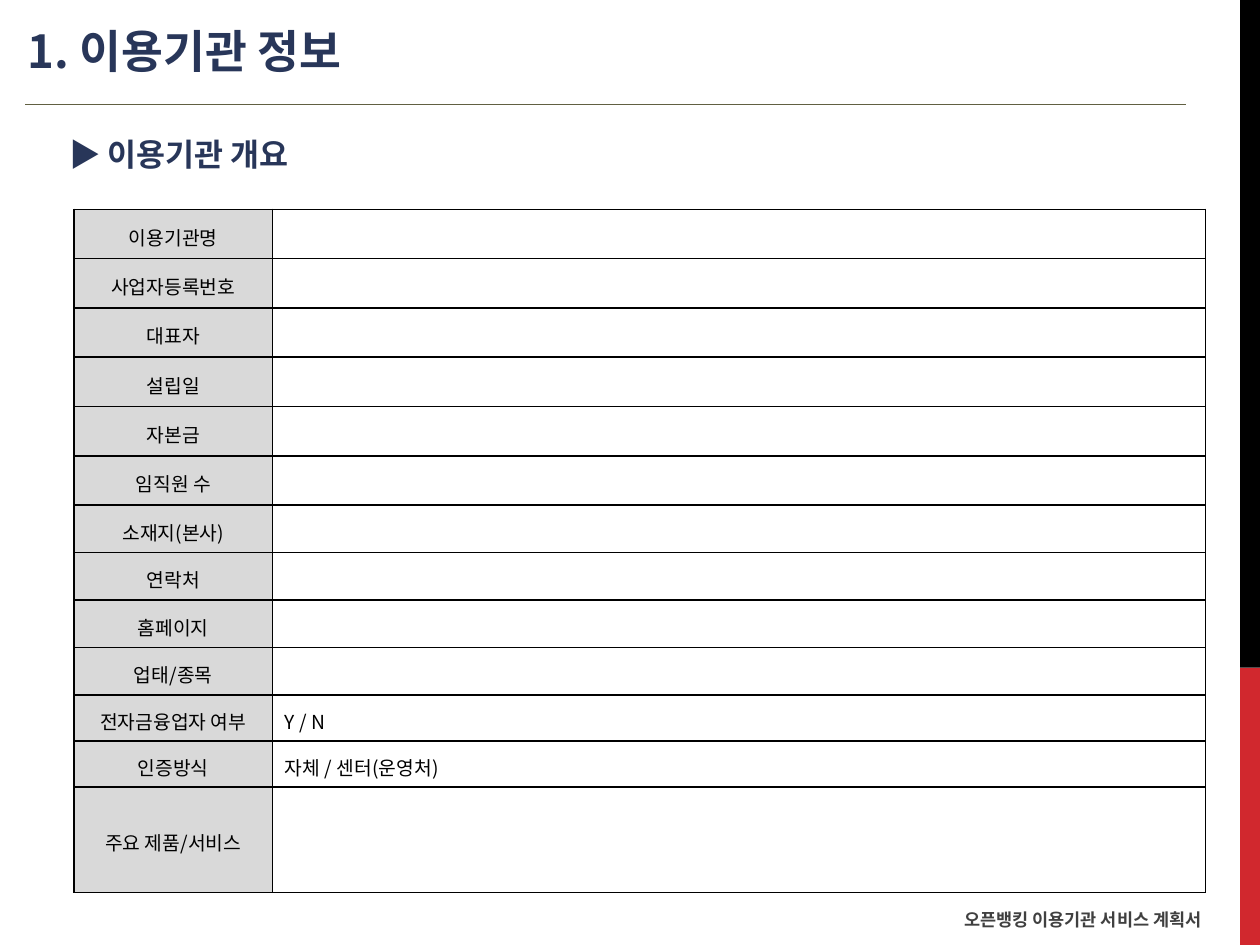
from lxml import etree
from pptx import Presentation
from pptx.dml.color import RGBColor
from pptx.enum.shapes import MSO_CONNECTOR as LINE, MSO_SHAPE as SHAPE
from pptx.enum.text import MSO_ANCHOR as ANCHOR, PP_ALIGN as ALIGN
from pptx.oxml.ns import qn
from pptx.util import Pt

NAVY, GRAY, BLACK, WHITE = "283659", "D9D9D9", "000000", "FFFFFF"


def rgb(code):
    return RGBColor.from_string(code)


class Page:
    font = "Noto Sans CJK KR"

    def __init__(self, slide):
        self.slide = slide

    def style(self, para, size, color, bold=False):
        for run in para.runs:
            run.font.size, run.font.bold = Pt(size), bold
            run.font.color.rgb = rgb(color)
            run.font.name = self.font
            east = etree.SubElement(run.font._element, qn("a:ea"))
            east.set("typeface", self.font)

    def bar(self, x, y, w, h, color):
        box = self.slide.shapes.add_shape(
            SHAPE.RECTANGLE, Pt(x), Pt(y), Pt(w), Pt(h))
        box.shadow.inherit = False
        box.fill.solid()
        box.fill.fore_color.rgb = rgb(color)
        box.line.fill.background()

    def rule(self, x, y, end, color, width):
        line = self.slide.shapes.add_connector(
            LINE.STRAIGHT, Pt(x), Pt(y), Pt(end), Pt(y))
        line.line.color.rgb = rgb(color)
        line.line.width = Pt(width)
        etree.SubElement(line._element.spPr, qn("a:effectLst"))

    def text(self, x, y, w, h, words, size, color, align=ALIGN.LEFT):
        box = self.slide.shapes.add_textbox(Pt(x), Pt(y), Pt(w), Pt(h))
        frame = box.text_frame
        frame.word_wrap = True
        frame.vertical_anchor = ANCHOR.MIDDLE
        frame.text = words
        para = frame.paragraphs[0]
        para.alignment = align
        para._p.get_or_add_pPr().set("marL", str(Pt(7.2)))
        self.style(para, size, color, bold=True)

    def cell(self, cell, words, fill, align):
        cell.fill.solid()
        cell.fill.fore_color.rgb = rgb(fill)
        cell.vertical_anchor = ANCHOR.MIDDLE
        para = cell.text_frame.paragraphs[0]
        para.alignment, para.line_spacing = align, 1.2
        if words:
            para.text = words
            self.style(para, 11, BLACK)
        else:
            # An empty cell needs a small end mark to keep its row low
            mark = etree.SubElement(para._p, qn("a:endParaRPr"))
            mark.set("sz", "1100")
        # Borders come before the fill
        props = cell._tc.get_or_add_tcPr()
        for spot, side in enumerate(("a:lnL", "a:lnR", "a:lnT", "a:lnB")):
            edge = etree.Element(qn(side), w=str(Pt(1)))
            paint = etree.SubElement(edge, qn("a:solidFill"))
            etree.SubElement(paint, qn("a:srgbClr"), val=BLACK)
            props.insert(spot, edge)

    def table(self, x, y, widths, rows):
        high = sum(row[2] for row in rows)
        grid = self.slide.shapes.add_table(
            len(rows), len(widths), Pt(x), Pt(y), Pt(sum(widths)), Pt(high)).table
        for col, width in zip(grid.columns, widths):
            col.width = Pt(width)
        for row, (label, value, height) in zip(grid.rows, rows):
            row.height = Pt(height)
            self.cell(row.cells[0], label, GRAY, ALIGN.CENTER)
            self.cell(row.cells[1], value, WHITE, ALIGN.LEFT)


def main():
    deck = Presentation()
    deck.slide_width, deck.slide_height = Pt(720), Pt(540)
    page = Page(deck.slides.add_slide(deck.slide_layouts[6]))

    # Side bars
    page.bar(708.6, 381.6, 11.4, 158.4, "D1282E")
    page.bar(708.6, 0, 11.4, 381.6, BLACK)

    # Title and heading
    page.text(1.4, 3.6, 660, 49.7, "1. 이용기관 정보", 26, NAVY)
    page.rule(14.4, 59.6, 677.6, "616042", 0.75)
    page.text(25.2, 71.3, 188, 33.8, "▶ 이용기관 개요", 18, NAVY)

    # Overview table: label, value, row height
    tall = ["이용기관명", "사업자등록번호", "대표자", "설립일", "자본금", "임직원 수"]
    mid = ["소재지(본사)", "연락처", "홈페이지", "업태/종목"]
    rows = [(name, "", 28.2) for name in tall]
    rows += [(name, "", 27.1) for name in mid]
    rows += [("전자금융업자 여부", "Y / N", 26.3),
             ("인증방식", "자체 / 센터(운영처)", 26.3),
             ("주요 제품/서비스", "", 60.3)]
    page.table(42.4, 119.6, [113.2, 533.2], rows)

    # Footer
    page.text(490.3, 520.5, 249.8, 10, "오픈뱅킹 이용기관 서비스 계획서", 10,
              "404040", ALIGN.CENTER)

    deck.save("out.pptx")


if __name__ == "__main__":
    main()
